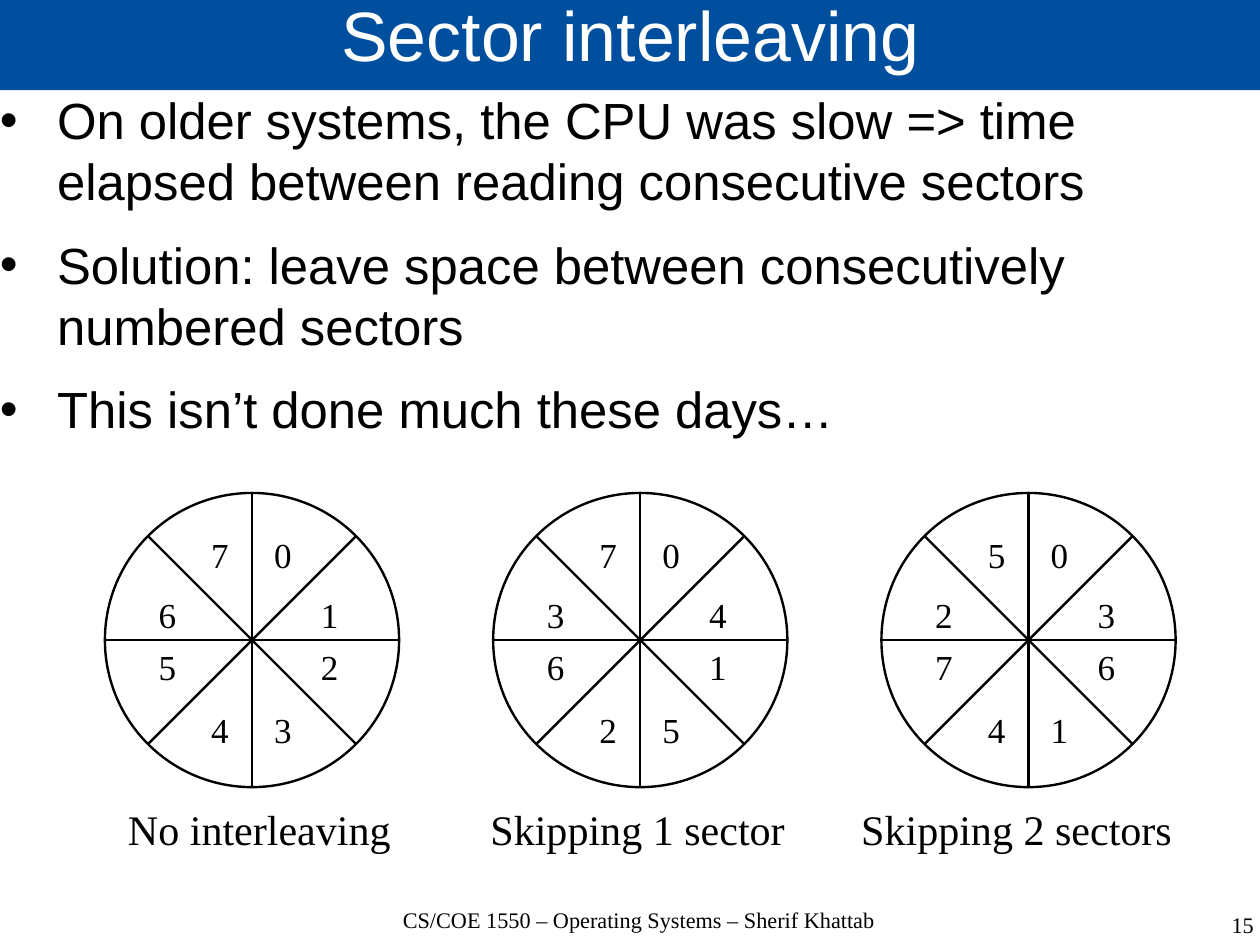
import math

import lxml.etree
import pptx
import pptx.dml.color
import pptx.enum.shapes
import pptx.enum.text
import pptx.oxml.ns
import pptx.util

BLUE = pptx.dml.color.RGBColor(0x00, 0x4F, 0x9E)
WHITE = pptx.dml.color.RGBColor(0xFF, 0xFF, 0xFF)
BLACK = pptx.dml.color.RGBColor(0x00, 0x00, 0x00)
ALIGN = pptx.enum.text.PP_ALIGN
ANCHOR = pptx.enum.text.MSO_ANCHOR
qn = pptx.oxml.ns.qn

COLS = 110.4


def grid(*cells):
    """Turn counts of grid cells, a tenth of an inch each, into lengths."""
    return [pptx.util.Inches(n / 10) for n in cells]


def text(lines, box, sp=None, size=14, font="Times New Roman", color=BLACK,
         align=ALIGN.LEFT, anchor=ANCHOR.TOP, spacing=1, after=0,
         bullet=False, wrap=True, inset=(0, 0)):
    """Fill sp, or a new text box, with one paragraph per line."""
    if sp is None:
        sp = s.shapes.add_textbox(*grid(*box))
    else:
        sp.left, sp.top, sp.width, sp.height = grid(*box)
    tf = sp.text_frame
    tf.word_wrap, tf.vertical_anchor = wrap, anchor
    tf.margin_left = tf.margin_right = grid(inset[0])[0]
    tf.margin_top = tf.margin_bottom = grid(inset[1])[0]
    for i, line in enumerate(lines):
        p = tf.add_paragraph() if i else tf.paragraphs[0]
        p.alignment, p.line_spacing = align, spacing
        p.space_before, p.space_after = pptx.util.Pt(0), pptx.util.Pt(after)
        if bullet:
            pPr = p._p.get_or_add_pPr()
            hang = grid(5)[0]
            pPr.set("marL", str(hang))
            pPr.set("indent", str(-hang))
            lxml.etree.SubElement(pPr, qn("a:buFont")).set("typeface", font)
            lxml.etree.SubElement(pPr, qn("a:buChar")).set("char", "•")
        r = p.add_run()
        r.text = line
        r.font.name, r.font.size = font, pptx.util.Pt(size)
        r.font.color.rgb = color


prs = pptx.Presentation()
prs.slide_width, prs.slide_height = pptx.util.Cm(28), pptx.util.Cm(21)
s = prs.slides.add_slide(prs.slide_layouts[5])

# Title bar and bullets
title = s.shapes.title
title.fill.solid()
title.fill.fore_color.rgb = BLUE
text(["Sector interleaving"], (0, -0.2, COLS, 8.1), title, size=44, font="Arial",
     color=WHITE, align=ALIGN.CENTER, anchor=ANCHOR.MIDDLE, spacing=0.69)
text(["On older systems, the CPU was slow => time elapsed between reading consecutive sectors",
      "Solution: leave space between consecutively numbered sectors",
      "This isn’t done much these days…"],
     (0, 7.8, COLS, 71.8), size=32, font="Arial", after=14.2, bullet=True)

# Footer
text(["CS/COE 1550 – Operating Systems – Sherif Khattab"], (30.7, 79.4, 50.4, 5.5),
     align=ALIGN.CENTER, spacing=0.96)
text(["15"], (84.4, 79.9, 25.3, 5.5), align=ALIGN.RIGHT, spacing=0.96)

# Disks: sector numbers run clockwise from the top, offsets start at the centre
FIRST_X, DISK_STEP, CENTER_Y, RADIUS = 22.05, 33.97, 56, 12.87
NUMBER_OFFSETS = [(0.95, -9.8), (5.05, -4.6), (5.05, 0), (0.95, 5.5),
                  (-4.55, 5.5), (-9.15, 0), (-9.15, -4.6), (-4.55, -9.8)]
DISKS = [("No interleaving", "01234567", 10.1, 25.2),
         ("Skipping 1 sector", "04152637", 41.8, 28),
         ("Skipping 2 sectors", "03614725", 74.2, 29.5)]

for i, (caption, numbers, caption_x, caption_width) in enumerate(DISKS):
    x = FIRST_X + i * DISK_STEP
    disk = s.shapes.add_shape(
        pptx.enum.shapes.MSO_SHAPE.OVAL,
        *grid(x - RADIUS, CENTER_Y - RADIUS, 2 * RADIUS, 2 * RADIUS))
    disk.shadow.inherit = False
    disk.fill.background()
    disk.line.color.rgb, disk.line.width = BLACK, pptx.util.Pt(1.5)

    for k in range(4):
        dx = RADIUS * math.cos(k * math.pi / 4)
        dy = RADIUS * math.sin(k * math.pi / 4)
        spoke = s.shapes.add_connector(
            pptx.enum.shapes.MSO_CONNECTOR.STRAIGHT,
            *grid(x - dx, CENTER_Y - dy, x + dx, CENTER_Y + dy))
        spoke.line.color.rgb, spoke.line.width = BLACK, pptx.util.Pt(1.5)
        lxml.etree.SubElement(spoke._element.spPr, qn("a:effectLst"))

    for number, (dx, dy) in zip(numbers, NUMBER_OFFSETS):
        text([number], (x + dx, CENTER_Y + dy, 3.6, 4.7), size=22.1,
             wrap=False, inset=(1, 0.5))
    text([caption], (caption_x, 69.8, caption_width, 5.5), size=26.5,
         align=ALIGN.CENTER, wrap=False, inset=(1, 0.5))

prs.save("out.pptx")
